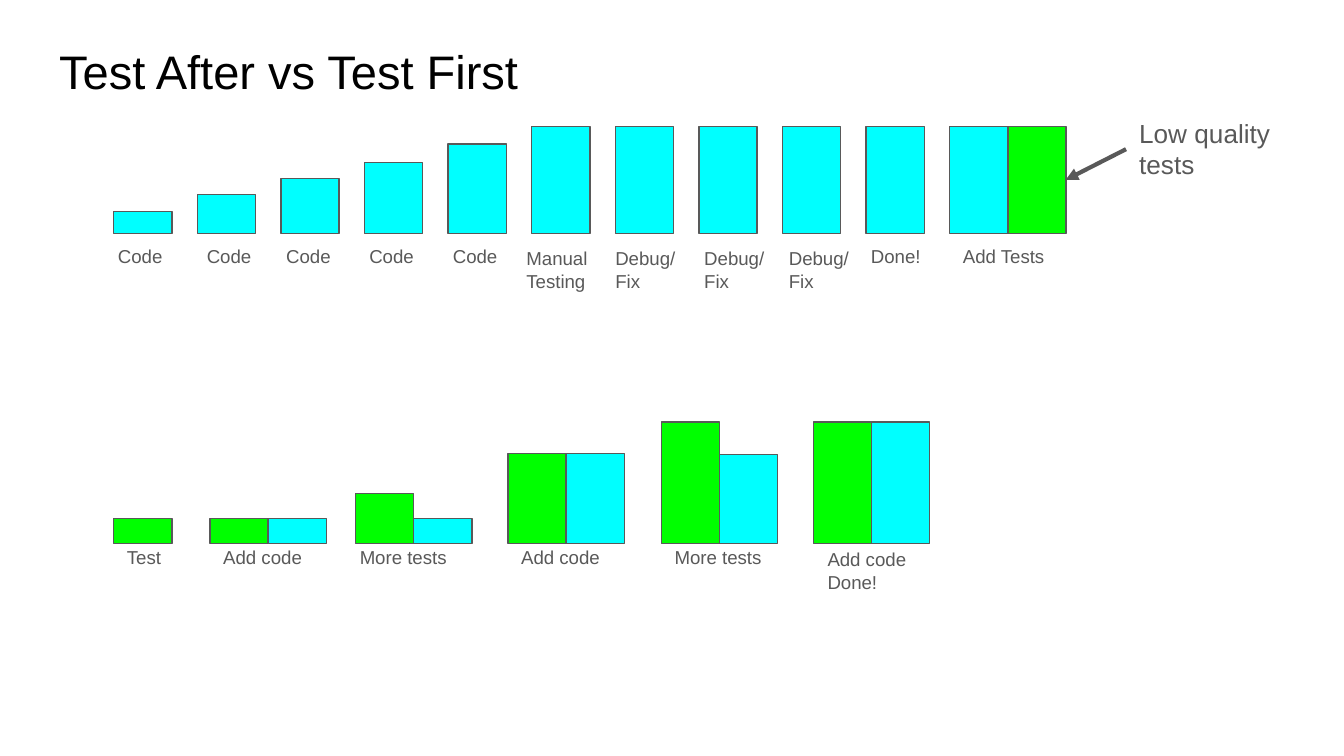
"""Build a slide that compares writing tests after the code with writing them first."""
import lxml.etree
import pptx
import pptx.dml.color
import pptx.enum.shapes
import pptx.enum.text
import pptx.oxml.ns
import pptx.util

Cm = pptx.util.Cm
COLOURS = {"code": "00FFFF", "test": "00FF00", "grey": "595959", "title": "000000"}
BAR_WIDTH = 1.1


def colour(name):
    return pptx.dml.color.RGBColor.from_string(COLOURS[name])


def add_text(shapes, left, top, width, height, lines, size=10, ink="grey"):
    box = shapes.add_textbox(Cm(left), Cm(top), Cm(width), Cm(height))
    frame = box.text_frame
    frame.word_wrap = True
    frame.margin_left = frame.margin_right = Cm(0.25)
    frame.margin_top = frame.margin_bottom = Cm(0.25)
    for index, line in enumerate(lines):
        para = frame.add_paragraph() if index else frame.paragraphs[0]
        span = para.add_run()
        span.text = line
        span.font.name = "Arial"
        span.font.size = pptx.util.Pt(size)
        span.font.color.rgb = colour(ink)
    return box


deck = pptx.Presentation()
deck.slide_width = Cm(25.4)
deck.slide_height = Cm(14.29)
page = deck.slides.add_slide(deck.slide_layouts[6])

title = add_text(page.shapes, 0.87, 0.53, 23.67, 1.6, ["Test After vs Test First"], 25.2, "title")
title.text_frame.vertical_anchor = pptx.enum.text.MSO_ANCHOR.BOTTOM

test_after = [
    ([("code", 0.42)], 1.98, 1.42, ["Code"]),
    ([("code", 0.74)], 3.66, 1.42, ["Code"]),
    ([("code", 1.04)], 5.16, 1.42, ["Code"]),
    ([("code", 1.35)], 6.73, 1.42, ["Code"]),
    ([("code", 1.7)], 8.31, 1.42, ["Code"]),
    ([("code", 2.03)], 9.7, 1.75, ["Manual Testing"]),
    ([("code", 2.03)], 11.38, 1.75, ["Debug/Fix"]),
    ([("code", 2.03)], 13.06, 1.75, ["Debug/Fix"]),
    ([("code", 2.03)], 14.66, 1.75, ["Debug/Fix"]),
    ([("code", 2.03)], 16.21, 1.75, ["Done!"]),
    ([("code", 2.03), ("test", 2.03)], 17.95, 2.2, ["Add Tests"]),
]
test_first = [
    ([("test", 0.47)], 2.15, 1.42, ["Test"]),
    ([("test", 0.47), ("code", 0.47)], 3.97, 2.28, ["Add code"]),
    ([("test", 0.94), ("code", 0.47)], 6.55, 2.28, ["More tests"]),
    ([("test", 1.7), ("code", 1.7)], 9.6, 2.28, ["Add code"]),
    ([("test", 2.29), ("code", 1.68)], 12.5, 2.28, ["More tests"]),
    ([("test", 2.29), ("code", 2.29)], 15.39, 2.28, ["Add code", "Done!"]),
]
after_lefts = [2.15 + 1.58 * index for index in range(len(test_after))]
first_lefts = [2.15, 3.97, 6.72, 9.6, 12.5, 15.37]

for steps, lefts, base, label_top in (
    (test_after, after_lefts, 4.42, 4.42),
    (test_first, first_lefts, 10.27, 10.11),
):
    for left, (bars, label_left, label_width, lines) in zip(lefts, steps):
        step = page.shapes.add_group_shape()
        for index, (kind, height) in enumerate(bars):
            bar = step.shapes.add_shape(
                pptx.enum.shapes.MSO_SHAPE.RECTANGLE,
                Cm(left + index * BAR_WIDTH), Cm(base - height), Cm(BAR_WIDTH), Cm(height),
            )
            bar.shadow.inherit = False
            bar.fill.solid()
            bar.fill.fore_color.rgb = colour(kind)
            bar.line.color.rgb = colour("grey")
            bar.line.width = pptx.util.Pt(0.75)
        label_height = 1.37 if len(lines) > 1 or label_width == 1.75 and lines != ["Done!"] else 0.94
        add_text(step.shapes, label_left, label_top, label_width, label_height, lines)

note = page.shapes.add_group_shape()
add_text(note.shapes, 21.28, 1.96, 3.05, 1.7, ["Low quality tests"], 14)
arrow = note.shapes.add_connector(
    pptx.enum.shapes.MSO_CONNECTOR.STRAIGHT, Cm(21.28), Cm(2.82), Cm(20.14), Cm(3.4)
)
arrow.line.color.rgb = colour("grey")
arrow.line.width = pptx.util.Pt(2.25)
line_xml = arrow.line._get_or_add_ln()
lxml.etree.SubElement(line_xml, pptx.oxml.ns.qn("a:tailEnd"), type="triangle")
lxml.etree.SubElement(arrow._element.spPr, pptx.oxml.ns.qn("a:effectLst"))

deck.save("out.pptx")
